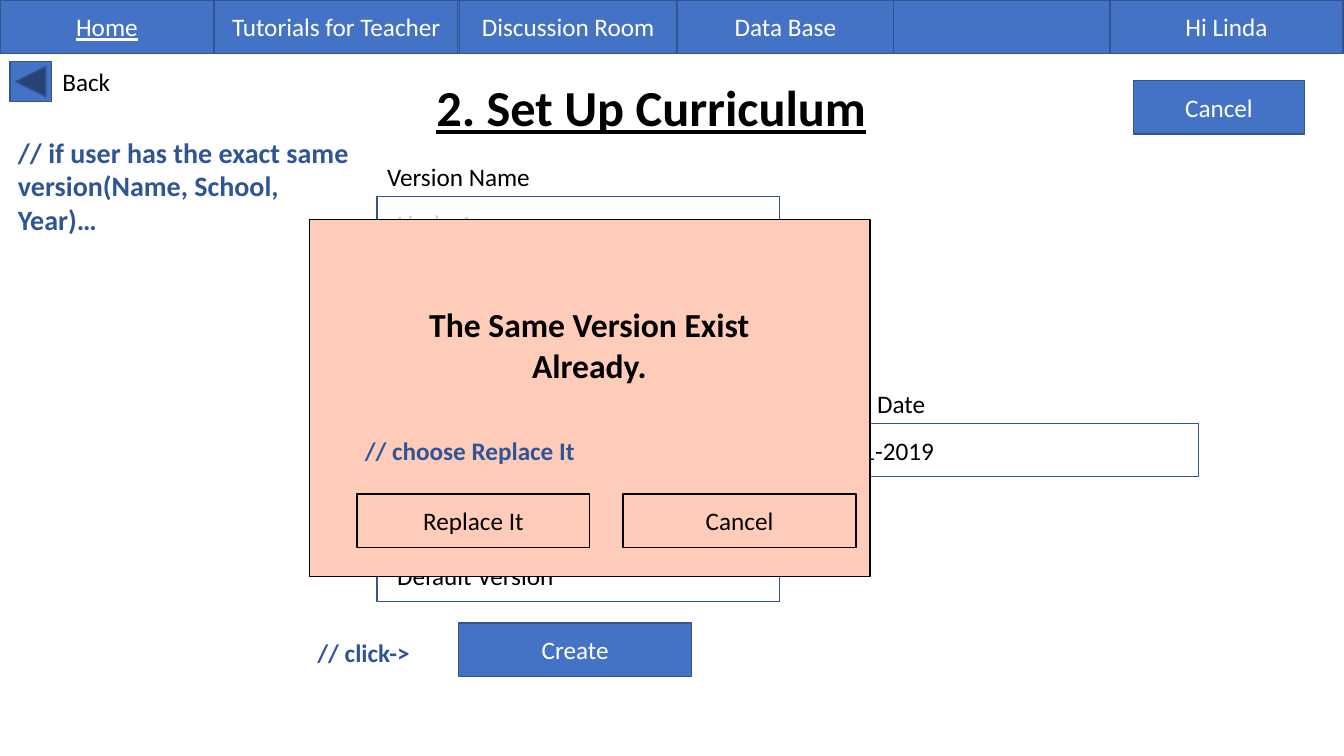
from dataclasses import dataclass

from pptx import Presentation
from pptx.dml.color import RGBColor
from pptx.enum.shapes import MSO_SHAPE as SHAPE
from pptx.enum.text import MSO_ANCHOR as ANCHOR, MSO_AUTO_SIZE as AUTO, PP_ALIGN as ALIGN
from pptx.util import Inches, Pt


@dataclass(frozen=True)
class Theme:
    """Colours, font and type sizes of the slide."""
    font: str = "Calibri"
    blue: str = "4472C4"
    outline: str = "325491"
    note: str = "2F5597"
    popup: str = "FFCCBA"
    hint: str = "D0CECE"
    black: str = "000000"
    white: str = "FFFFFF"
    title: int = 36
    alert: int = 24
    remark: int = 20
    body: int = 18


@dataclass(frozen=True)
class Box:
    """A region in inches."""
    x: float
    y: float
    w: float
    h: float

    def inner(self, dx, dy, w, h):
        """Return a box placed relative to this one."""
        return Box(self.x + dx, self.y + dy, w, h)

    def emu(self):
        """Return left, top, width and height as lengths."""
        return [Inches(v) for v in (self.x, self.y, self.w, self.h)]


THEME = Theme()
ROW_H = 0.53
TEXT_H = 0.4
BUTTON_W = 2.31


def write(sp, text, size, color, bold=False, underline=False, align=ALIGN.LEFT):
    """Put one styled paragraph into a shape."""
    tf = sp.text_frame
    tf.word_wrap = True
    tf.text = text
    p = tf.paragraphs[0]
    p.alignment = align
    font = p.font
    font.name, font.size = THEME.font, Pt(size)
    font.bold, font.underline = bold, underline
    font.color.rgb = RGBColor.from_string(color)


def add_label(slide, box, text, size=THEME.body, color=THEME.black, **style):
    """Add a wrapped text box."""
    sp = slide.shapes.add_textbox(*box.emu())
    write(sp, text, size, color, **style)


def add_panel(slide, box, fill=None, line=THEME.outline, kind=SHAPE.RECTANGLE):
    """Add an outlined shape, filled when a colour is given."""
    sp = slide.shapes.add_shape(kind, *box.emu())
    sp.shadow.inherit = False
    if fill:
        sp.fill.solid()
        sp.fill.fore_color.rgb = RGBColor.from_string(fill)
    else:
        sp.fill.background()
    sp.line.color.rgb = RGBColor.from_string(line)
    sp.line.width = Pt(1)
    return sp


def add_button(slide, box, text, fill=THEME.blue, line=THEME.outline,
               color=THEME.white, underline=False):
    """Add a rectangle with a centred caption."""
    sp = add_panel(slide, box, fill, line)
    sp.text_frame.vertical_anchor = ANCHOR.MIDDLE
    write(sp, text, THEME.body, color, underline=underline, align=ALIGN.CENTER)


def add_title(slide, box, text):
    """Move and format the title placeholder."""
    sp = slide.shapes.title
    sp.left, sp.top, sp.width, sp.height = box.emu()
    write(sp, text, THEME.title, THEME.black, bold=True, underline=True, align=ALIGN.CENTER)
    sp.text_frame.auto_size = AUTO.NONE
    sp.text_frame.vertical_anchor = ANCHOR.MIDDLE


def add_back(slide, box):
    """Add the back button and its label."""
    add_panel(slide, box.inner(0, 0, 0.41, box.h), THEME.blue,
              kind=SHAPE.ACTION_BUTTON_BACK_OR_PREVIOUS)
    add_label(slide, box.inner(0.42, 0, 0.76, box.h), "Back")


def add_field(slide, box, value, label=None, color=THEME.black):
    """Add an input field with its value and an optional label above."""
    add_panel(slide, box)
    if label:
        add_label(slide, box.inner(0, -TEXT_H, 2.52, TEXT_H), label)
    add_label(slide, box.inner(0.1, 0.07, 1.77, TEXT_H), value, color=color)


def add_popup(slide, box):
    """Add the warning dialog with its two buttons."""
    add_panel(slide, box, THEME.popup, THEME.black)
    add_label(slide, box.inner(0.52, 0.79, 4.51, 0.91), "The Same Version Exist Already.",
              THEME.alert, bold=True, align=ALIGN.CENTER)
    for i, text in enumerate(("Replace It", "Cancel")):
        add_button(slide, box.inner(0.47 + 2.64 * i, 2.72, BUTTON_W, ROW_H), text,
                   fill=None, line=THEME.black, color=THEME.black)


def add_nav(slide, box):
    """Add the navigation bar and its tabs."""
    add_panel(slide, box.inner(0, 0, 11.01, box.h), THEME.blue)
    tabs = (("Home", 0, 2.12), ("Tutorials for Teacher", 2.13, 2.41),
            ("Discussion Room", 4.56, 2.15), ("Data Base", 6.72, 2.14),
            ("Hi Linda", 11.01, 2.31))
    for text, dx, w in tabs:
        add_button(slide, box.inner(dx, 0, w, box.h), text, underline=text == "Home")


def add_notes(slide, box):
    """Add the blue walkthrough remarks."""
    remarks = (("// click->", 3.05, 6.27, 1.18, TEXT_H, THEME.body),
               ("// if user has the exact same version(Name, School, Year)…",
                0.08, 1.29, 3.57, 1.11, THEME.remark),
               ("// choose Replace It", 3.52, 4.27, 2.5, TEXT_H, THEME.body))
    for text, dx, dy, w, h, size in remarks:
        add_label(slide, box.inner(dx, dy, w, h), text, size, THEME.note, bold=True)


def build_slide(prs, page):
    """Build the curriculum set-up screen."""
    slide = prs.slides.add_slide(prs.slide_layouts[5])
    add_title(slide, page.inner(3.59, 0.66, 5.74, 0.8), "2. Set Up Curriculum")
    add_back(slide, page.inner(0.1, 0.61, 1.18, TEXT_H))
    fields = (("Linda-1", "Version Name", 3.74, 1.95, THEME.hint),
              ("27-11-2019", "Issued Date", 7.9, 4.2, THEME.black),
              ("Default Version", None, 3.74, 5.44, THEME.black))
    for value, label, dx, dy, color in fields:
        add_field(slide, page.inner(dx, dy, 3.99, ROW_H), value, label, color)
    add_button(slide, page.inner(4.55, 6.18, BUTTON_W, ROW_H), "Create")
    add_button(slide, page.inner(11.24, 0.8, 1.7, ROW_H), "Cancel")
    add_popup(slide, page.inner(3.07, 2.18, 5.56, 3.54))
    add_nav(slide, page.inner(0, 0, page.w, ROW_H))
    add_notes(slide, page)


def main():
    """Create and save the presentation."""
    prs = Presentation()
    page = Box(0, 0, 13.33, 7.5)
    prs.slide_width, prs.slide_height = Inches(page.w), Inches(page.h)
    build_slide(prs, page)
    prs.save("out.pptx")


if __name__ == "__main__":
    main()
